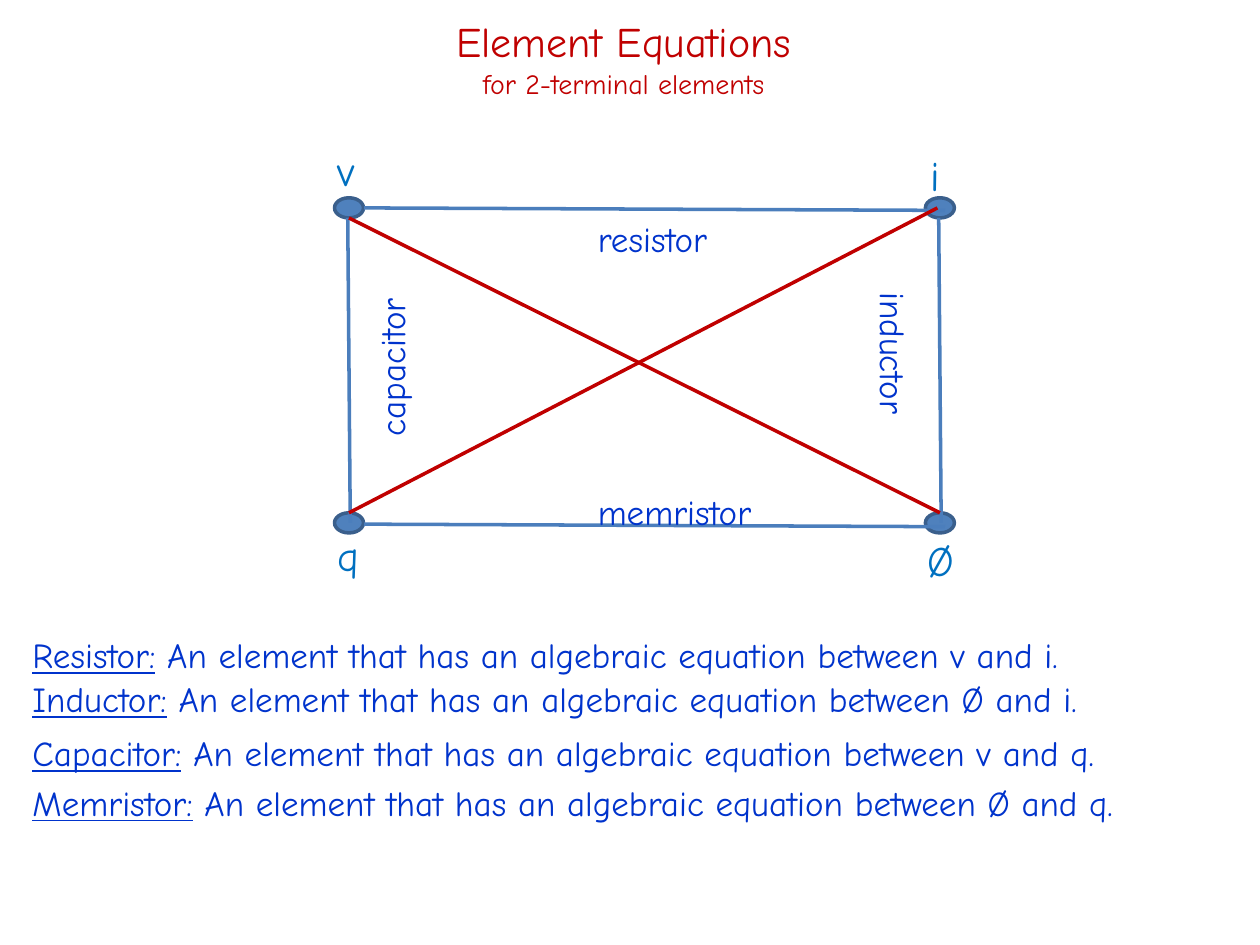
from lxml.etree import SubElement
from pptx import Presentation
from pptx.dml.color import RGBColor
from pptx.enum.shapes import MSO_CONNECTOR as Connector, MSO_SHAPE as Shape
from pptx.enum.text import MSO_ANCHOR as Anchor, MSO_AUTO_SIZE as AutoSize, PP_ALIGN as Align
from pptx.oxml.ns import qn
from pptx.util import Inches, Pt

FONT = "Comic Neue"
COLORS = {"title": "C00000", "body": "0033CC", "node": "4F81BD", "rim": "3A5F8C",
          "wire": "4B7EBC", "symbol": "0070C0", "diagonal": "C00000"}
WIDTH, HEIGHT = 10, 7.5


def color(name):
    return RGBColor.from_string(COLORS[name])


def set_font(font, size, name):
    font.name, font.size = FONT, Pt(size)
    font.color.rgb = color(name)


def add_text(page, box, text, size, name, wrap=True, rotation=0):
    """Add a one-paragraph text box and return its paragraph."""
    shape = page.shapes.add_textbox(*map(Inches, box))
    shape.rotation = rotation
    shape.text_frame.word_wrap = wrap
    para = shape.text_frame.paragraphs[0]
    para.text = text
    set_font(para.font, size, name)
    return para


def add_line(page, start, end, name):
    line = page.shapes.add_connector(Connector.STRAIGHT, *map(Inches, (*start, *end)))
    line.line.color.rgb = color(name)
    line.line.width = Pt(2)
    SubElement(line._element.spPr, qn("a:effectLst"))


def add_title(page, box):
    title = page.shapes.title
    title.left, title.top, title.width, title.height = map(Inches, box)
    frame = title.text_frame
    frame.auto_size = AutoSize.NONE
    frame.vertical_anchor = Anchor.TOP
    frame.text = "Element Equations\nfor 2-terminal elements"
    for para, size in zip(frame.paragraphs, (24, 16)):
        para.alignment = Align.CENTER
        set_font(para.font, size, "title")


def add_diagram(page, box):
    """Draw four nodes at the corners of the box, joined by wires and diagonals."""
    left, top, width, height = box
    right, bottom = left + width, top + height
    node_width, node_height = 0.23, 0.16
    rise = node_height / 2

    # Nodes with their symbols
    nodes = [("v", left, top, -0.19, -0.55), ("i", right, top, -0.17, -0.51),
             ("q", left, bottom, -0.19, 0), ("Ø", right, bottom, -0.2, 0.04)]
    for symbol, x, y, shift_x, shift_y in nodes:
        node = page.shapes.add_shape(
            Shape.OVAL, Inches(x - node_width / 2), Inches(y - rise),
            Inches(node_width), Inches(node_height))
        node.shadow.inherit = False
        node.fill.solid()
        node.fill.fore_color.rgb = color("node")
        node.line.color.rgb = color("rim")
        node.line.width = Pt(2)
        add_text(page, (x + shift_x, y + shift_y, 0.4, 0.5), symbol, 24, "symbol", wrap=False)

    # Wires, each slightly slanted
    for y in (top, bottom + 0.01):
        add_line(page, (left + 0.12, y), (right + 0.04, y + 0.02), "wire")
    for x in (left, right):
        add_line(page, (x - 0.01, top + rise), (x + 0.01, bottom), "wire")

    # Diagonals
    add_line(page, (left, bottom - rise), (right - 0.02, top), "diagonal")
    add_line(page, (left, top + rise), (right, bottom - rise), "diagonal")

    # Element names along the sides
    label_x = left + 0.4 * width
    labels = [("resistor", label_x, top + 0.03, 1.33, 0),
              ("memristor", label_x, bottom - 0.31, 1.56, 0),
              ("capacitor", left - 0.43, top + 0.92, 1.54, 270),
              ("inductor", right - 1.22, top + 1.2, 1.7, 90)]
    for text, x, y, length, rotation in labels:
        add_text(page, (x, y, length, 0.44), text, 20, "body", rotation=rotation)


def add_definitions(page, left, width, tops):
    rows = [("Resistor:", "v and i"), ("Inductor:", "Ø and i"),
            ("Capacitor:", "v and q"), ("Memristor:", "Ø and q")]
    for (term, pair), top in zip(rows, tops):
        para = add_text(page, (left, top, width, 0.44), term, 20, "body")
        para.runs[0].font.underline = True
        span = para.add_run()
        span.text = f" An element that has an algebraic equation between {pair}."


def main():
    deck = Presentation()
    deck.slide_width, deck.slide_height = Inches(WIDTH), Inches(HEIGHT)
    page = deck.slides.add_slide(deck.slide_layouts[5])
    add_title(page, (0.11 * WIDTH, 0.01 * HEIGHT, 0.77 * WIDTH, 0.1 * HEIGHT))
    add_diagram(page, (2.77, 0.22 * HEIGHT, 4.69, HEIGHT / 3))
    add_definitions(page, 0.16, 9.77, (4.98, 5.33, 5.76, 6.15))
    deck.save("out.pptx")


if __name__ == "__main__":
    main()
